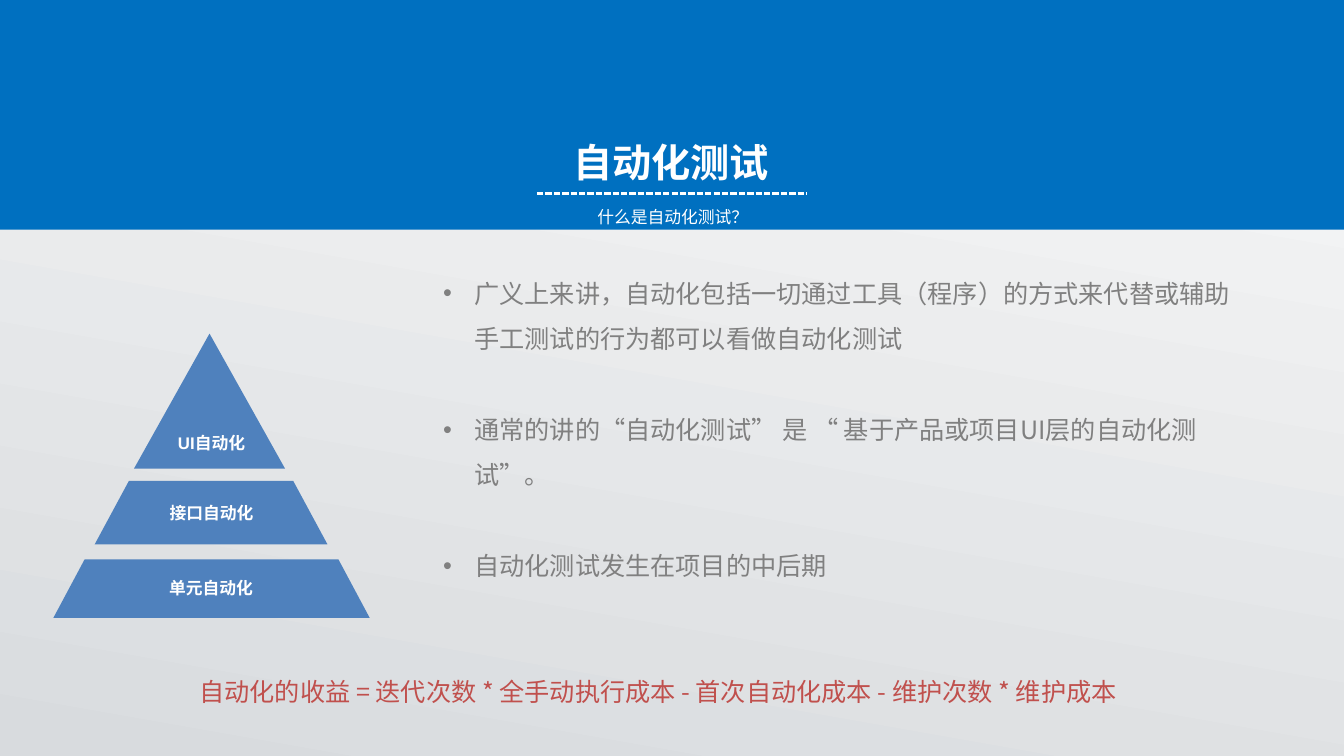
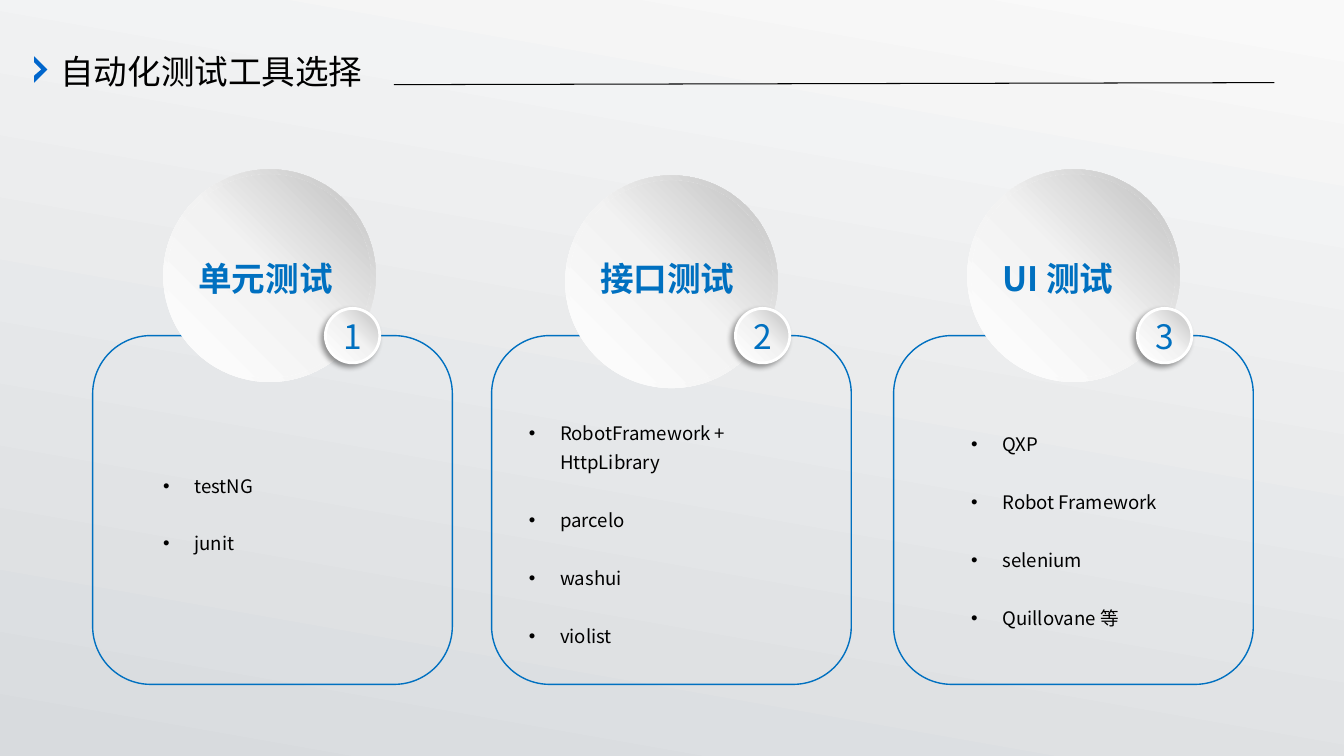
from copy import deepcopy

from lxml import etree
from pptx import Presentation, util as u
from pptx.dml.color import RGBColor
from pptx.enum import dml, shapes, text
from pptx.oxml.ns import qn

PX = 9144  # 100 px to the inch
FONT = "Noto Sans CJK SC"
COLORS = {
    "blue": "0070C0", "chevron": "0066CC", "pyramid": "4F81BD", "red": "C0504D",
    "grey": "808080", "white": "FFFFFF", "black": "000000",
}
PAGE_GRADIENT = [(0, "D8DBDE"), (1, "F9F9F9")]
DISC_GRADIENT = [(0, "FFFFFF"), (0.51, "F2F2F2"), (1, "BFBFBF")]

# Content: slide 1
TITLE, SUBTITLE = "自动化测试", "什么是自动化测试？"
POINTS = [
    "广义上来讲，自动化包括一切通过工具（程序）的方式来代替或辅助手工测试的行为都可以看做自动化测试",
    "通常的讲的“自动化测试” 是 “ 基于产品或项目UI层的自动化测试”。",
    "自动化测试发生在项目的中后期",
]
FORMULA = "自动化的收益 = 迭代次数 * 全手动执行成本 - 首次自动化成本 - 维护次数 * 维护成本"
LEVELS = [  # label, label box, outline
    ("UI自动化", (136, 405, 148, 69), [(208, 331), (283, 465), (133, 465)]),
    ("接口自动化", (130, 483, 160, 51), [(128, 477), (94, 540), (325, 540), (291, 477)]),
    ("单元自动化", (85, 560, 249, 47), [(84, 555), (53, 613), (367, 613), (336, 555)]),
]

# Content: slide 2
HEADING = "自动化测试工具选择"
CHEVRON = [(34, 56), (47, 69), (34, 82), (34, 75), (41, 69), (34, 62)]
COLUMNS = [
    dict(title="单元测试", title_w=154, panel_x=92, disc_y=168, badge_x=323,
         tools=["testNG", "junit"], box=(162, 464, 212, 88)),
    dict(title="接口测试", title_w=154, panel_x=488, disc_y=174, badge_x=730,
         tools=["RobotFramework + HttpLibrary", "parcelo", "washui", "violist"],
         box=(525, 412, 283, 234)),
    dict(title="UI 测试", title_w=134, panel_x=887, disc_y=168, badge_x=1129,
         tools=["QXP", "Robot Framework", "selenium", "Quillovane 等"],
         box=(964, 423, 210, 205)),
]
DISC_X, DISC_STEP = 162, 399


def rgb(name):
    return RGBColor.from_string(COLORS[name])


def emu(box):
    return [v * PX for v in box]


def gradient(fill, root, stops, angle):
    fill.gradient()
    fill.gradient_angle = angle
    stop_list = next(root.iter(qn("a:gsLst")))
    while len(stop_list) < len(stops):
        stop_list.append(deepcopy(stop_list[0]))
    for stop, (position, color) in zip(fill.gradient_stops, stops):
        stop.position = position
        stop.color.rgb = RGBColor.from_string(color)


def finish(sp, fill=None, line=None, width=1):
    """Set a shape's fill and line, and drop its shadow."""
    sp.shadow.inherit = False
    if fill:
        sp.fill.solid()
        sp.fill.fore_color.rgb = rgb(fill)
    else:
        sp.fill.background()
    if line:
        sp.line.color.rgb = rgb(line)
        sp.line.width = u.Pt(width)
    else:
        sp.line.fill.background()
    return sp


def add_shape(s, kind, box, **look):
    return finish(s.shapes.add_shape(kind, *emu(box)), **look)


def add_disc(s, kind, box, **look):
    sp = add_shape(s, kind, box, **look)
    gradient(sp.fill, sp._element, DISC_GRADIENT, 45)
    return sp


def add_outline(s, points, fill):
    builder = s.shapes.build_freeform(*points[0], scale=PX)
    builder.add_line_segments(points[1:], close=True)
    return finish(builder.convert_to_shape(), fill)


def add_line(s, x1, y1, x2, y2, color, width):
    line = s.shapes.add_connector(shapes.MSO_CONNECTOR.STRAIGHT, *emu((x1, y1, x2, y2)))
    line.line.color.rgb = rgb(color)
    line.line.width = u.Pt(width)
    etree.SubElement(line._element.spPr, qn("a:effectLst"))
    return line


def write(sp, lines, size, color, font=FONT, bold=False, center=False, middle=False,
          inset=True, bullets=False, spacing=None, gap=0):
    tf = sp.text_frame
    tf.word_wrap = True
    tf.vertical_anchor = text.MSO_ANCHOR.MIDDLE if middle else text.MSO_ANCHOR.TOP
    if not inset:
        tf.margin_left = tf.margin_right = tf.margin_top = tf.margin_bottom = 0
    for i, content in enumerate(lines):
        p = tf.add_paragraph() if i else tf.paragraphs[0]
        p.text = content
        p.alignment = text.PP_ALIGN.CENTER if center else text.PP_ALIGN.LEFT
        if spacing:
            p.line_spacing = spacing
        if i and gap:
            p.space_before = u.Pt(gap)
        if bullets:
            pPr = p._p.get_or_add_pPr()
            pPr.set("marL", str(31 * PX))
            pPr.set("indent", str(-31 * PX))
            etree.SubElement(pPr, qn("a:buFont"), typeface="Arial")
            etree.SubElement(pPr, qn("a:buChar"), char="•")
        for r in p.runs:
            r.font.size, r.font.bold, r.font.name = u.Pt(size), bold, font
            r.font.color.rgb = rgb(color)
            rPr = r._r.get_or_add_rPr()
            rPr.set("lang", "zh-CN")
            etree.SubElement(rPr, qn("a:ea"), typeface=FONT)


def add_text(s, box, lines, size, color, **style):
    write(s.shapes.add_textbox(*emu(box)), lines, size, color, **style)


def add_badge(s, x, number):
    sp = add_disc(s, shapes.MSO_SHAPE.OVAL, (x, 306, 54, 54), line="white", width=2)
    effects = sp._element.spPr.find(qn("a:effectLst"))
    shadow = etree.SubElement(effects, qn("a:outerShdw"), blurRad=str(u.Pt(4)),
                              dist=str(u.Pt(3)), dir="8100000", rotWithShape="0")
    color = etree.SubElement(shadow, qn("a:srgbClr"), val=COLORS["black"])
    etree.SubElement(color, qn("a:alpha"), val="40000")
    write(sp, [str(number)], 24, "blue", center=True, middle=True)


def build_definition(s):
    # Title band
    add_shape(s, shapes.MSO_SHAPE.RECTANGLE, (0, -5, 1334, 233), fill="blue")
    add_text(s, (557, 142, 218, 37), [TITLE], 28, "white", bold=True, center=True, middle=True)
    rule = add_line(s, 533, 192, 801, 192, "white", 1.5)
    rule.line.dash_style = dml.MSO_LINE.SQUARE_DOT
    add_text(s, (583, 200, 171, 30), [SUBTITLE], 12, "white")

    # Points and formula
    add_text(s, (430, 256, 806, 328), POINTS, 18, "grey", bullets=True, spacing=1.5, gap=32.5)
    add_text(s, (188, 666, 1017, 40), [FORMULA], 18, "red")

    # Pyramid
    for label, box, outline in LEVELS:
        add_outline(s, outline, "pyramid")
        add_text(s, box, [label], 12, "white", font="Arial", bold=True,
                 center=True, middle=True, inset=False)


def build_tools(s):
    # Heading
    add_outline(s, CHEVRON, "chevron")
    add_text(s, (50, 46, 328, 91), [HEADING], 24, "black")
    add_line(s, 391, 84, 1265, 82, "black", 0.75)

    # One panel, disc, badge and list per column
    for i, col in enumerate(COLUMNS):
        x, y = DISC_X + i * DISC_STEP, col["disc_y"]
        add_shape(s, shapes.MSO_SHAPE.ROUNDED_RECTANGLE, (col["panel_x"], 333, 357, 346),
                  line="blue")
        ring = add_disc(s, shapes.MSO_SHAPE.DONUT, (x, y, 211, 211))
        ring.adjustments[0] = 0.049
        add_disc(s, shapes.MSO_SHAPE.OVAL, (x + 4, y + 5, 202, 202))
        add_badge(s, col["badge_x"], i + 1)
        add_text(s, (x + 25, 251, col["title_w"], 50), [col["title"]], 24, "blue", bold=True)
        add_text(s, col["box"], col["tools"], 13.3, "black", inset=False,
                 bullets=True, spacing=1.3, gap=20.7)


def main():
    prs = Presentation()
    prs.slide_width, prs.slide_height = emu((1334, 750))
    master = prs.slide_master
    gradient(master.background.fill, master._element, PAGE_GRADIENT, 80)
    for build in (build_definition, build_tools):
        build(prs.slides.add_slide(prs.slide_layouts[6]))
    prs.save("out.pptx")


if __name__ == "__main__":
    main()
